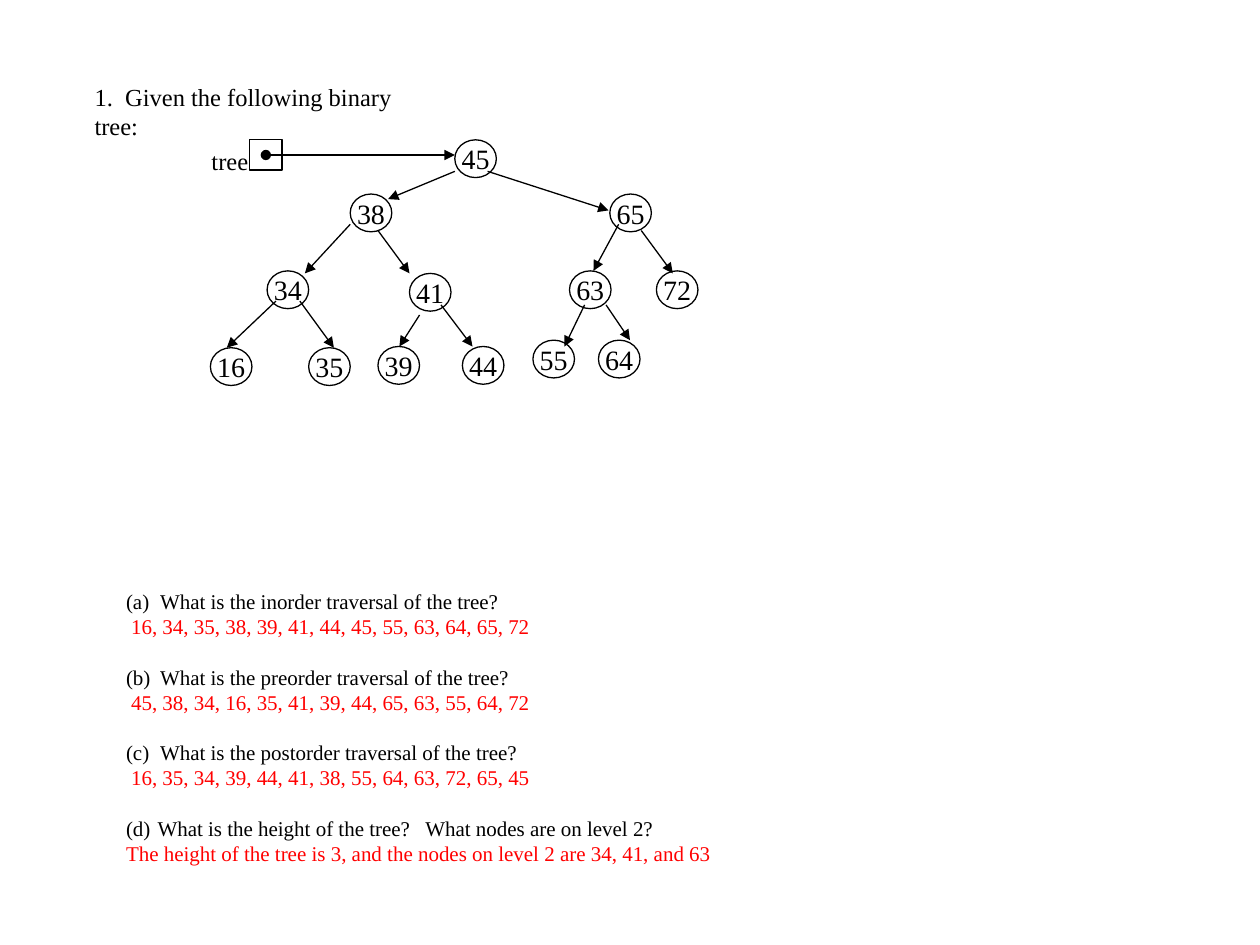
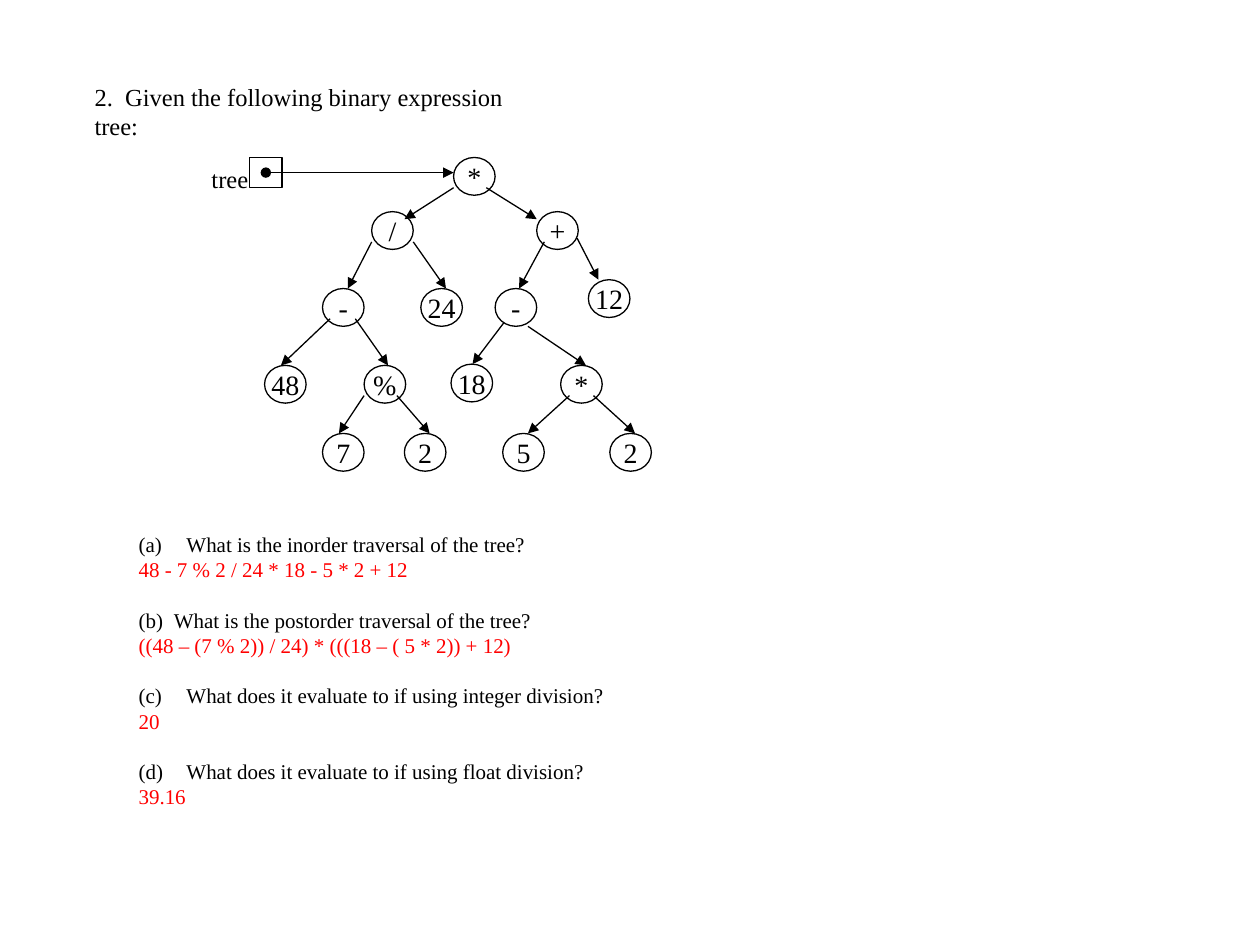
from lxml import etree
from pptx import Presentation
from pptx.dml.color import RGBColor
from pptx.enum.shapes import MSO_CONNECTOR, MSO_SHAPE
from pptx.enum.text import MSO_ANCHOR, MSO_AUTO_SIZE, PP_ALIGN
from pptx.oxml.ns import qn
from pptx.util import Inches, Pt

BLACK = RGBColor(0, 0, 0)
RED = RGBColor(255, 0, 0)
FONT = "Times New Roman"
TITLE_SIZE, BODY_SIZE, NODE_SIZE = 14, 12, 16
LINE_SPACING = 1.2
NODE_WIDTH, NODE_HEIGHT = 0.33, 0.3
POINTER_WIDTH, POINTER_HEIGHT = 0.26, 0.24
POINTER_LEFT, POINTER_LABEL_LEFT = 1.98, 1.58

# Each node: value, (left, top), then the start and end of the arrow from its parent.
# Each question: text, its hanging indent, answer.
EXERCISES = [
    {
        "title": "1.  Given the following binary tree:",
        "title_width": 2.85,
        "root": ("45", (3.61, 1.11)),
        "nodes": [
            ("38", (2.78, 1.54), (3.61, 1.36), (3.08, 1.58)),
            ("65", (4.84, 1.54), (3.87, 1.36), (4.83, 1.67)),
            ("34", (2.12, 2.15), (2.78, 1.78), (2.42, 2.17)),
            ("41", (3.25, 2.17), (3, 1.83), (3.25, 2.17)),
            ("63", (4.52, 2.15), (4.91, 1.78), (4.71, 2.15)),
            ("72", (5.21, 2.15), (5.09, 1.83), (5.34, 2.17)),
            ("16", (1.67, 2.76), (2.19, 2.39), (1.8, 2.76)),
            ("35", (2.45, 2.76), (2.38, 2.39), (2.65, 2.76)),
            ("39", (3, 2.75), (3.33, 2.5), (3.17, 2.75)),
            ("44", (3.67, 2.75), (3.5, 2.42), (3.75, 2.75)),
            ("55", (4.23, 2.7), (4.64, 2.42), (4.48, 2.75)),
            ("64", (4.75, 2.7), (4.81, 2.42), (5, 2.7)),
        ],
        "body_at": (0.9, 4.62),
        "questions": [
            ("What is the inorder traversal of the tree?", 0.27,
             "16, 34, 35, 38, 39, 41, 44, 45, 55, 63, 64, 65, 72", 0.04),
            ("What is the preorder traversal of the tree?", 0.27,
             "45, 38, 34, 16, 35, 41, 39, 44, 65, 63, 55, 64, 72", 0.04),
            ("What is the postorder traversal of the tree?", 0.27,
             "16, 35, 34, 39, 44, 41, 38, 55, 64, 63, 72, 65, 45", 0.04),
            ("What is the height of the tree?   What nodes are on level 2?", 0.25,
             "The height of the tree is 3, and the nodes on level 2 are 34, 41, and 63", 0),
        ],
    },
    {
        "title": "2.  Given the following binary expression tree:",
        "title_width": 3.72,
        "root": ("*", (3.6, 1.25)),
        "nodes": [
            ("/", (2.95, 1.68), (3.6, 1.49), (3.21, 1.74)),
            ("+", (4.26, 1.68), (3.86, 1.49), (4.26, 1.74)),
            ("-", (2.56, 2.29), (2.95, 1.92), (2.76, 2.29)),
            ("24", (3.34, 2.29), (3.28, 1.92), (3.54, 2.29)),
            ("-", (3.93, 2.29), (4.32, 1.92), (4.12, 2.29)),
            ("12", (4.67, 2.22), (4.58, 1.89), (4.75, 2.22)),
            ("48", (2.1, 2.9), (2.62, 2.53), (2.23, 2.9)),
            ("%", (2.89, 2.9), (2.82, 2.53), (3.08, 2.9)),
            ("18", (3.58, 2.89), (4, 2.56), (3.75, 2.89)),
            ("*", (4.45, 2.9), (4.19, 2.59), (4.65, 2.9)),
            ("7", (2.56, 3.44), (2.89, 3.14), (2.69, 3.44)),
            ("2", (3.21, 3.44), (3.15, 3.14), (3.41, 3.44)),
            ("5", (3.99, 3.44), (4.52, 3.14), (4.19, 3.44)),
            ("2", (4.84, 3.44), (4.71, 3.14), (5.04, 3.44)),
        ],
        "body_at": (1, 4.17),
        "questions": [
            ("What is the inorder traversal of the tree?", 0.38,
             "48 - 7 % 2 / 24 * 18 - 5 * 2 + 12", 0),
            ("What is the postorder traversal of the tree?", 0.28,
             "((48 – (7 % 2)) / 24) * (((18 – ( 5 * 2)) + 12)", 0),
            ("What does it evaluate to if using integer division?", 0.38, "20", 0),
            ("What does it evaluate to if using float division?", 0.38, "39.16", 0),
        ],
    },
]


def add_run(paragraph, text, size, color=BLACK):
    run = paragraph.add_run()
    run.text = text
    run.font.name = FONT
    run.font.size = Pt(size)
    run.font.color.rgb = color


def place(shape, left, top, width, height):
    shape.left, shape.top = Inches(left), Inches(top)
    shape.width, shape.height = Inches(width), Inches(height)


def prepare_frame(shape):
    frame = shape.text_frame
    frame.auto_size = MSO_AUTO_SIZE.NONE
    frame.word_wrap = True
    frame.vertical_anchor = MSO_ANCHOR.TOP
    return frame


def format_paragraph(paragraph, size, space_after=0):
    paragraph.alignment = PP_ALIGN.LEFT
    paragraph.line_spacing = Pt(size * LINE_SPACING)
    paragraph.space_before = Pt(0)
    paragraph.space_after = Pt(space_after)


def set_list(paragraph, margin, number=None):
    """Number the paragraph (a), (b), ... with a hanging indent, or take its bullet away."""
    properties = paragraph._p.get_or_add_pPr()
    properties.set("marL", str(Inches(margin)))
    properties.set("indent", str(-Inches(margin) if number else 0))
    if number:
        etree.SubElement(properties, qn("a:buFont"), typeface=FONT)
        etree.SubElement(properties, qn("a:buAutoNum"),
                         type="alphaLcParenBoth", startAt=str(number))
    else:
        etree.SubElement(properties, qn("a:buNone"))


def add_outline(slide, kind, left, top, width, height):
    shape = slide.shapes.add_shape(kind, Inches(left), Inches(top),
                                   Inches(width), Inches(height))
    shape.shadow.inherit = False
    shape.fill.background()
    shape.line.color.rgb = BLACK
    shape.line.width = Pt(0.75)
    return shape


def add_arrow(slide, start, end, head=None):
    arrow = slide.shapes.add_connector(MSO_CONNECTOR.STRAIGHT,
                                       *map(Inches, (*start, *end)))
    arrow.line.color.rgb = BLACK
    arrow.line.width = Pt(0.75)
    line = arrow.line._get_or_add_ln()
    if head:
        etree.SubElement(line, qn("a:headEnd"), type=head)
    etree.SubElement(line, qn("a:tailEnd"), type="triangle")
    etree.SubElement(arrow._element.spPr, qn("a:effectLst"))


def add_node(slide, value, position):
    node = add_outline(slide, MSO_SHAPE.OVAL, *position, NODE_WIDTH, NODE_HEIGHT)
    frame = node.text_frame
    frame.word_wrap = False
    frame.margin_left = frame.margin_right = frame.margin_top = frame.margin_bottom = 0
    frame.vertical_anchor = MSO_ANCHOR.MIDDLE
    paragraph = frame.paragraphs[0]
    paragraph.alignment = PP_ALIGN.CENTER
    add_run(paragraph, value, NODE_SIZE)


def add_tree_pointer(slide, root_left, top):
    add_outline(slide, MSO_SHAPE.RECTANGLE, POINTER_LEFT, top, POINTER_WIDTH, POINTER_HEIGHT)
    label = slide.shapes.add_textbox(Inches(POINTER_LABEL_LEFT), Inches(top),
                                     Inches(0.49), Inches(0.33))
    label.text_frame.word_wrap = False
    paragraph = label.text_frame.paragraphs[0]
    format_paragraph(paragraph, TITLE_SIZE)
    add_run(paragraph, "tree", TITLE_SIZE)
    middle = top + POINTER_HEIGHT / 2
    add_arrow(slide, (POINTER_LEFT + POINTER_WIDTH / 2, middle), (root_left, middle), "oval")


def add_title(slide, text, width):
    title = slide.shapes.title
    place(title, 0.65, 0.6, width, 0.57)
    paragraph = prepare_frame(title).paragraphs[0]
    format_paragraph(paragraph, TITLE_SIZE)
    add_run(paragraph, text, TITLE_SIZE)


def add_questions(slide, position, questions):
    body = slide.placeholders[1]
    place(body, *position, 5.2, 2.52)
    frame = prepare_frame(body)
    for number, (question, indent, answer, answer_indent) in enumerate(questions, 1):
        paragraph = frame.paragraphs[0] if number == 1 else frame.add_paragraph()
        format_paragraph(paragraph, BODY_SIZE)
        set_list(paragraph, indent, number)
        add_run(paragraph, question, BODY_SIZE)
        paragraph = frame.add_paragraph()
        format_paragraph(paragraph, BODY_SIZE, BODY_SIZE * LINE_SPACING)
        set_list(paragraph, answer_indent)
        add_run(paragraph, answer, BODY_SIZE, RED)


def add_exercise(presentation, exercise):
    slide = presentation.slides.add_slide(presentation.slide_layouts[1])
    add_title(slide, exercise["title"], exercise["title_width"])
    add_questions(slide, exercise["body_at"], exercise["questions"])
    value, position = exercise["root"]
    add_node(slide, value, position)
    add_tree_pointer(slide, *position)
    for value, position, start, end in exercise["nodes"]:
        add_node(slide, value, position)
        add_arrow(slide, start, end)


def main():
    presentation = Presentation()
    presentation.slide_width, presentation.slide_height = Inches(10), Inches(7.5)
    for exercise in EXERCISES:
        add_exercise(presentation, exercise)
    presentation.save("out.pptx")


if __name__ == "__main__":
    main()
